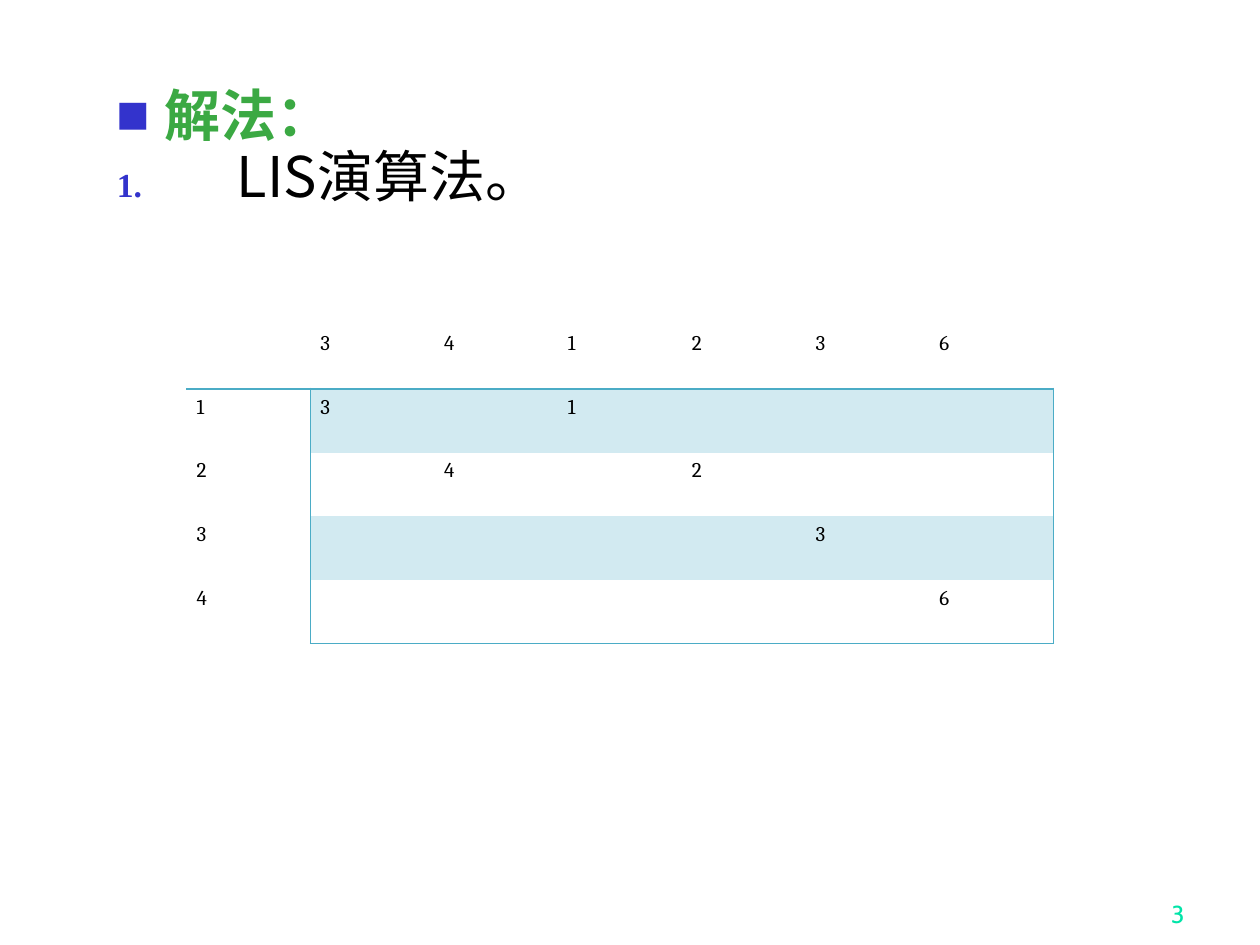
from lxml import etree
from pptx import Presentation
from pptx import util as u
from pptx.dml.color import RGBColor
from pptx.enum import text
from pptx.oxml.ns import qn

COLORS = {
    "white": "FFFFFF",
    "black": "000000",
    "heading": "3BA943",
    "bullet": "3333CC",
    "page": "00E4A8",
    "rule": "4BACC6",
    "band": "D2EAF1",
}
SEQUENCE = [3, 4, 1, 2, 3, 6]
LENGTHS = [1, 2, 1, 2, 3, 4]
ROWS = max(LENGTHS) + 1
COLUMNS = len(SEQUENCE) + 1
THICK, THIN = 1.47, 0.45


def rgb(name):
    return RGBColor.from_string(COLORS[name])


def add_text(paragraph, content, size, font, color, bold=False):
    run = paragraph.add_run()
    run.text = content
    run.font.size = u.Pt(size)
    run.font.name = font
    run.font.bold = bold
    run.font.color.rgb = rgb(color)
    east_asian = etree.SubElement(run._r.get_or_add_rPr(), qn("a:ea"))
    east_asian.set("typeface", "Noto Sans CJK SC")


def add_bullet(paragraph, tag, indent, font, **attributes):
    properties = paragraph._p.get_or_add_pPr()
    properties.set("marL", str(u.Inches(indent)))
    properties.set("indent", str(-u.Inches(indent)))
    color = etree.SubElement(properties, qn("a:buClr"))
    etree.SubElement(color, qn("a:srgbClr")).set("val", COLORS["bullet"])
    etree.SubElement(properties, qn("a:buSzPct")).set("val", "60000")
    etree.SubElement(properties, qn("a:buFont")).set("typeface", font)
    etree.SubElement(properties, qn(tag), attributes)
    paragraph.line_spacing = 0.9


def add_box(slide, left, top, width, height):
    box = slide.shapes.add_textbox(*map(u.Inches, (left, top, width, height)))
    box.text_frame.word_wrap = True
    return box.text_frame


def add_solution(slide):
    frame = add_box(slide, 0.83, 0.7, 8.5, 6.05)
    frame.margin_top = 0
    heading = frame.paragraphs[0]
    add_bullet(heading, "a:buChar", 0.38, "Noto Sans CJK SC", char="■")
    add_text(heading, "解法：", 32, "Times New Roman", "heading", bold=True)
    step = frame.add_paragraph()
    add_bullet(step, "a:buAutoNum", 0.84, "Times New Roman", type="arabicPeriod")
    add_text(step, " ", 32, "Times New Roman", "heading", bold=True)
    add_text(step, "LIS演算法。", 32, "Noto Sans CJK SC", "black")


def add_page_number(slide):
    frame = add_box(slide, 7.42, 6.92, 2.08, 0.5)
    frame.vertical_anchor = text.MSO_ANCHOR.BOTTOM
    paragraph = frame.paragraphs[0]
    paragraph.alignment = text.PP_ALIGN.RIGHT
    add_text(paragraph, "3", 14, "Cabin", "page")


def set_borders(cell, widths):
    properties = cell._tc.get_or_add_tcPr()
    for side in "LRTB":
        width = widths.get(side, 0)
        line = etree.SubElement(properties, qn(f"a:ln{side}"), w=str(u.Pt(width)))
        if width:
            fill = etree.SubElement(line, qn("a:solidFill"))
            etree.SubElement(fill, qn("a:srgbClr")).set("val", COLORS["rule"])
        else:
            etree.SubElement(line, qn("a:noFill"))


def border_widths(row, column):
    widths = {}
    if row == 0:
        widths["B"] = THICK
    else:
        if row == 1:
            widths["T"] = THICK
        if column == 1:
            widths["L"] = THIN
        if column in (0, COLUMNS - 1):
            widths["R"] = THIN
        if row == ROWS - 1 and column > 0:
            widths["B"] = THIN
    return widths


def cell_value(row, column):
    if column == 0:
        return str(row) if row else ""
    if row in (0, LENGTHS[column - 1]):
        return str(SEQUENCE[column - 1])
    return ""


def add_lis_table(slide):
    table = slide.shapes.add_table(
        ROWS, COLUMNS, u.Inches(1.48), u.Inches(2.58), u.Inches(6.88), u.Inches(2.53)
    ).table
    table.first_row = False
    table.horz_banding = False
    for row in range(ROWS):
        for column in range(COLUMNS):
            cell = table.cell(row, column)
            cell.margin_left = cell.margin_right = u.Inches(0.08)
            cell.margin_top = cell.margin_bottom = u.Inches(0.05)
            set_borders(cell, border_widths(row, column))
            cell.fill.solid()
            banded = row % 2 == 1 and column > 0
            cell.fill.fore_color.rgb = rgb("band" if banded else "white")
            value = cell_value(row, column)
            if value:
                paragraph = cell.text_frame.paragraphs[0]
                add_text(paragraph, value, 12, "Cambria", "black")


def main():
    presentation = Presentation()
    presentation.slide_width = u.Inches(10)
    presentation.slide_height = u.Inches(7.5)
    slide = presentation.slides.add_slide(presentation.slide_layouts[6])
    add_solution(slide)
    add_page_number(slide)
    add_lis_table(slide)
    presentation.save("out.pptx")


if __name__ == "__main__":
    main()
